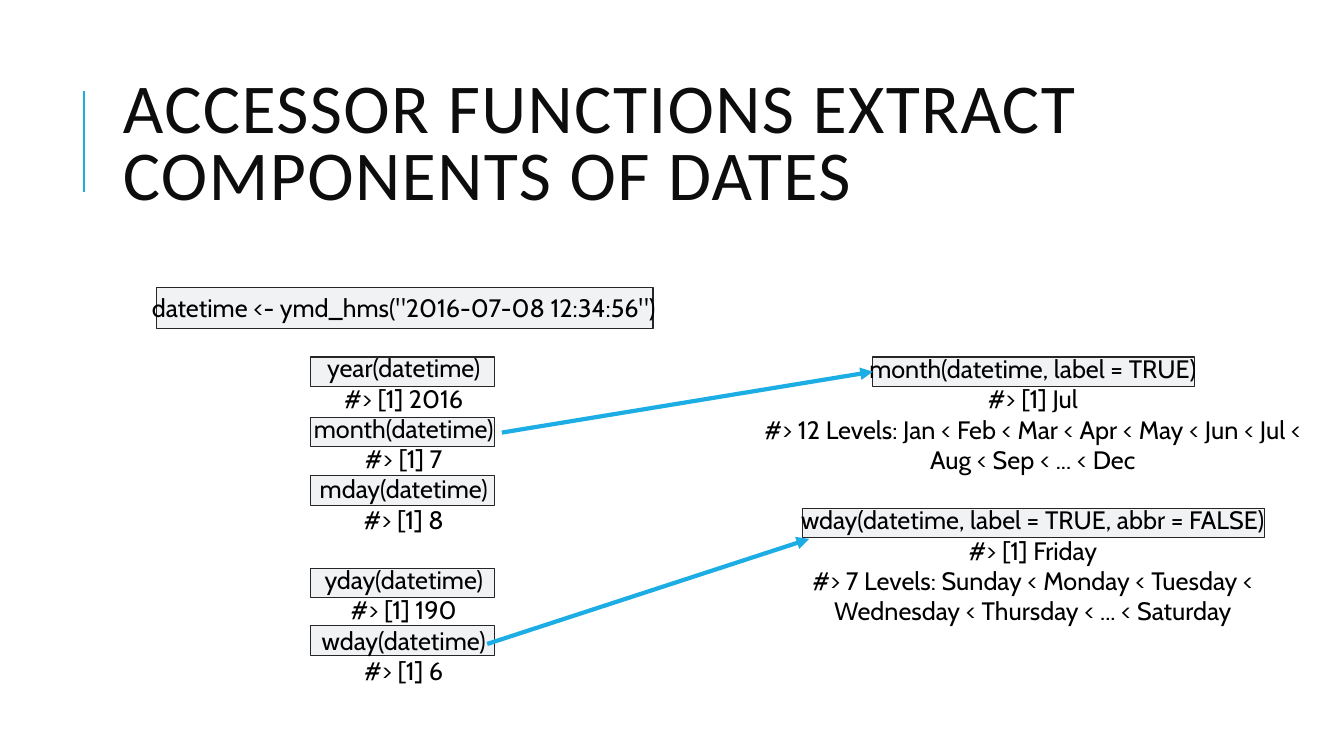
from dataclasses import dataclass

from lxml import etree
from pptx import Presentation
from pptx.dml.color import RGBColor
from pptx.enum import shapes, text
from pptx.oxml.ns import qn
from pptx.util import Pt

ACCENT, PANEL, OUTLINE, INK, TITLE_INK = "1CADE4", "F0F2F4", "262626", "000000", "0D0D0D"
ROW_HEIGHT = 21.6  # one line of code text


@dataclass
class Panel:
    left: float
    top: float
    width: float
    height: float = 21


@dataclass
class Line:
    content: str
    starts_group: bool = False


@dataclass
class CodeColumn:
    left: float
    top: float
    width: float
    height: float
    lines: list[Line]


@dataclass
class Stroke:
    start: tuple[float, float]
    end: tuple[float, float]
    weight: float = 3
    arrow: bool = True


def color(value: str) -> RGBColor:
    return RGBColor.from_string(value)


def write(para, content: str, *, font: str, size: float, ink: str, align, before: float = 0,
          line_spacing: float = 1.0, tracking: int = 0) -> None:
    para.alignment = align
    para.space_before = Pt(before)
    para.line_spacing = line_spacing
    span = para.add_run()
    span.text = content
    span.font.name, span.font.size = font, Pt(size)
    span.font.color.rgb = color(ink)
    if tracking:
        span.font._element.set("spc", str(tracking))


def draw_panel(page, panel: Panel):
    box = page.shapes.add_shape(shapes.MSO_SHAPE.RECTANGLE, Pt(panel.left), Pt(panel.top),
                                Pt(panel.width), Pt(panel.height))
    box.shadow.inherit = False
    box.fill.solid()
    box.fill.fore_color.rgb = color(PANEL)
    box.line.color.rgb = color(OUTLINE)
    box.line.width = Pt(0.75)
    return box


def draw_column(page, column: CodeColumn) -> None:
    box = page.shapes.add_textbox(Pt(column.left), Pt(column.top),
                                  Pt(column.width), Pt(column.height))
    frame = box.text_frame
    frame.word_wrap = True
    for index, line in enumerate(column.lines):
        para = frame.add_paragraph() if index else frame.paragraphs[0]
        write(para, line.content, font="Cabin", size=18, ink=INK, align=text.PP_ALIGN.CENTER,
              before=ROW_HEIGHT if line.starts_group else 0)


def draw_stroke(page, stroke: Stroke):
    connector = page.shapes.add_connector(
        shapes.MSO_CONNECTOR.STRAIGHT, *map(Pt, stroke.start + stroke.end))
    connector.line.color.rgb = color(ACCENT)
    connector.line.width = Pt(stroke.weight)
    if stroke.arrow:
        etree.SubElement(connector.line._get_or_add_ln(), qn("a:tailEnd"), type="triangle")
    etree.SubElement(connector._element.spPr, qn("a:effectLst"))
    return connector


def draw_title(page, content: str) -> None:
    title = page.shapes.title
    title.left, title.top, title.width, title.height = Pt(80.64), Pt(46), Pt(765.36), Pt(118)
    frame = title.text_frame
    frame.word_wrap = True
    frame.auto_size = text.MSO_AUTO_SIZE.NONE
    frame.vertical_anchor = text.MSO_ANCHOR.MIDDLE
    write(frame.paragraphs[0], content, font="Calibri", size=50, ink=TITLE_INK,
          align=text.PP_ALIGN.LEFT, line_spacing=0.8, tracking=100)


ACCESSOR_TOPS = [255, 298, 340, 406, 447]
PANELS = [Panel(111.5, 205.2, 355, 29.5), Panel(573, 363, 330.5)]
PANELS += [Panel(222, top, 131) for top in ACCESSOR_TOPS]
MONTH_LABEL_PANEL = Panel(623.5, 255, 229.7)

COLUMNS = [
    CodeColumn(80.64, 205.2, 415.5, 291, [
        Line('datetime <- ymd_hms("2016-07-08 12:34:56")'),
        Line("year(datetime)", starts_group=True),
        Line("#> [1] 2016"),
        Line("month(datetime)"),
        Line("#> [1] 7"),
        Line("mday(datetime)"),
        Line("#> [1] 8"),
        Line("yday(datetime)", starts_group=True),
        Line("#> [1] 190"),
        Line("wday(datetime)"),
        Line("#> [1] 6"),
    ]),
    CodeColumn(530, 249, 415.5, 204, [
        Line("month(datetime, label = TRUE)"),
        Line("#> [1] Jul"),
        Line("#> 12 Levels: Jan < Feb < Mar < Apr < May < Jun < Jul < Aug < Sep < ... < Dec"),
        Line("wday(datetime, label = TRUE, abbr = FALSE)", starts_group=True),
        Line("#> [1] Friday"),
        Line("#> 7 Levels: Sunday < Monday < Tuesday < Wednesday < Thursday < ... < Saturday"),
    ]),
]

TITLE_RULE = Stroke((60, 137), (60, 65), weight=1.5, arrow=False)
MONTH_ARROW = Stroke((358.5, 309), (623.5, 264))
WDAY_ARROW = Stroke((348, 460), (578, 385))


def main() -> None:
    deck = Presentation()
    deck.slide_width, deck.slide_height = Pt(960), Pt(540)
    page = deck.slides.add_slide(deck.slide_layouts[5])

    # Title with its side rule
    draw_stroke(page, TITLE_RULE)
    draw_title(page, "ACCESSOR FUNCTIONS EXTRACT COMPONENTS OF DATES")

    # Panels behind the function calls
    for panel in PANELS:
        draw_panel(page, panel)
    month_label = draw_panel(page, MONTH_LABEL_PANEL)

    # Code and its output
    for column in COLUMNS:
        draw_column(page, column)

    # Arrows to the labelled variants
    draw_stroke(page, MONTH_ARROW).end_connect(month_label, 1)
    draw_stroke(page, WDAY_ARROW)

    deck.save("out.pptx")


if __name__ == "__main__":
    main()
